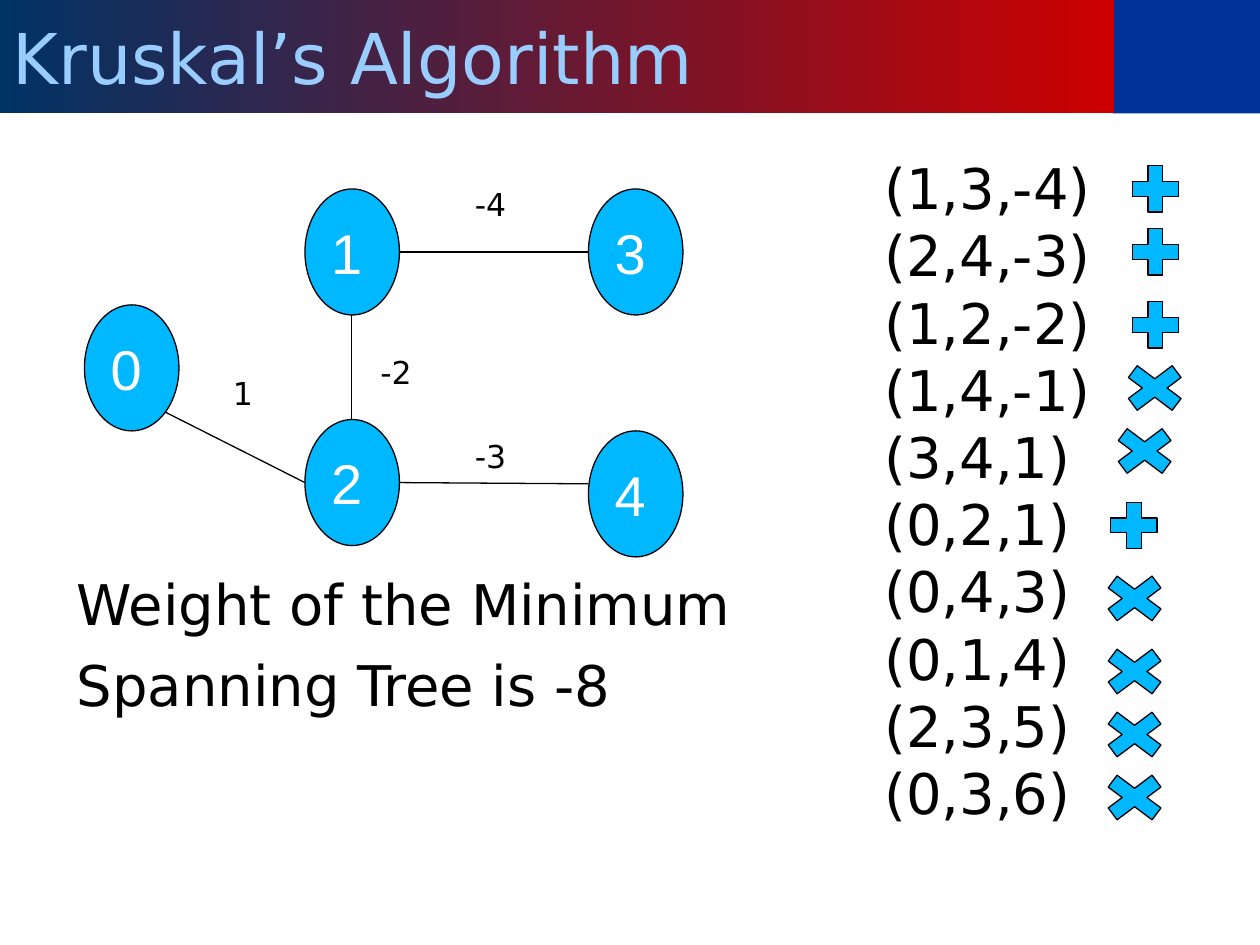
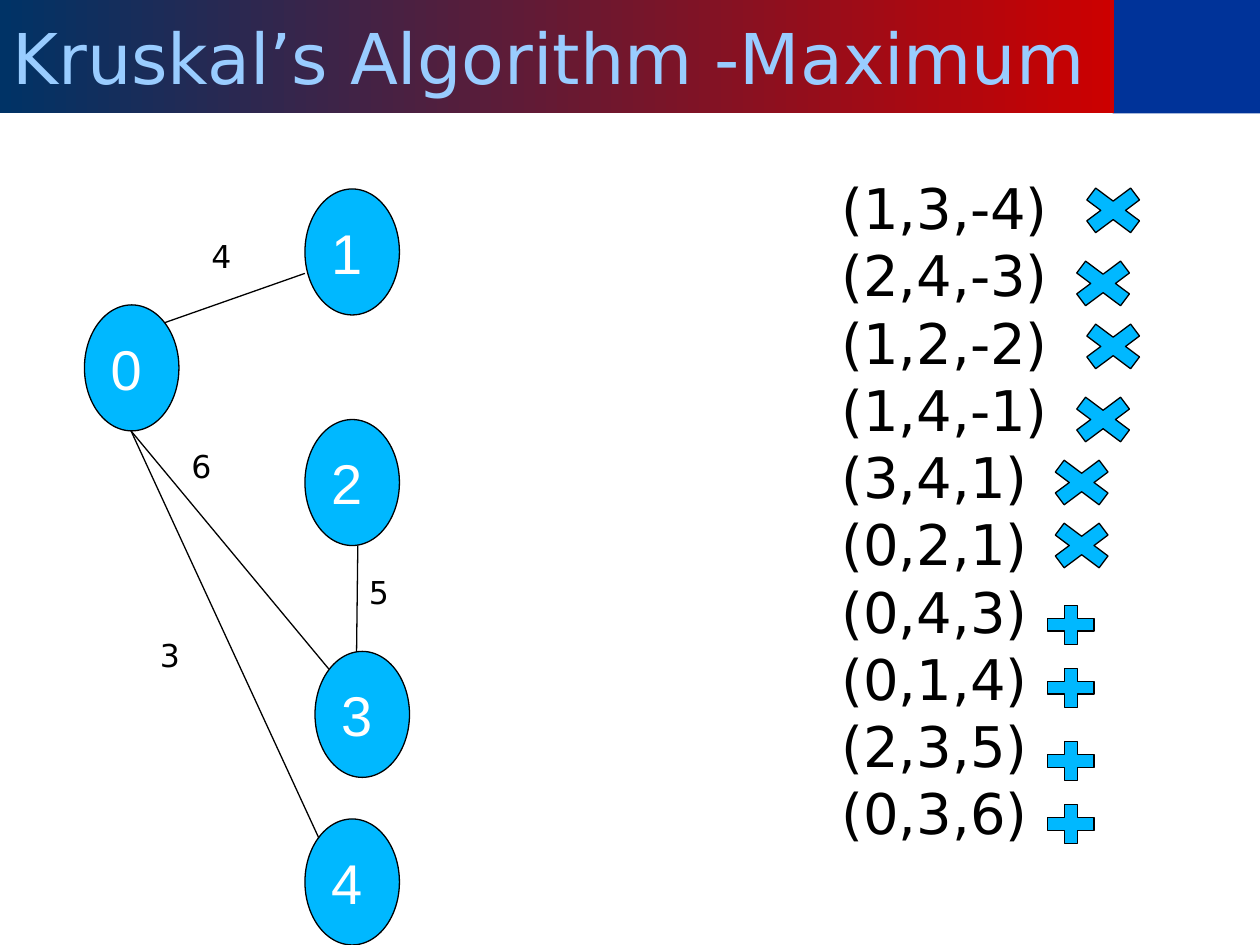
from dataclasses import dataclass

from lxml import etree
from pptx import Presentation
from pptx.dml.color import RGBColor
from pptx.enum.shapes import MSO_CONNECTOR, MSO_SHAPE
from pptx.enum.text import MSO_ANCHOR, MSO_AUTO_SIZE, PP_ALIGN
from pptx.oxml.ns import qn
from pptx.presentation import Presentation as Deck
from pptx.shapes.autoshape import Shape
from pptx.slide import Slide
from pptx.text.text import TextFrame
from pptx.util import Inches, Pt

STRAIGHT = MSO_CONNECTOR.STRAIGHT
RECTANGLE, OVAL = MSO_SHAPE.RECTANGLE, MSO_SHAPE.OVAL
PLUS, CROSS = MSO_SHAPE.MATH_PLUS, MSO_SHAPE.MATH_MULTIPLY
TOP, MIDDLE = MSO_ANCHOR.TOP, MSO_ANCHOR.MIDDLE
LEFT = PP_ALIGN.LEFT
NO_FIT, GROW = MSO_AUTO_SIZE.NONE, MSO_AUTO_SIZE.SHAPE_TO_FIT_TEXT
TITLE_AND_CONTENT, TITLE_ONLY = 1, 5
BAND_ID = 20


@dataclass(frozen=True)
class Theme:
    band: RGBColor = RGBColor(0x00, 0x33, 0x99)
    title_right: RGBColor = RGBColor(0xCC, 0x00, 0x00)
    title_left: RGBColor = RGBColor(0x00, 0x33, 0x66)
    title_text: RGBColor = RGBColor(0x99, 0xCC, 0xFF)
    node: RGBColor = RGBColor(0x00, 0xB8, 0xFF)
    ink: RGBColor = RGBColor(0x00, 0x00, 0x00)
    paper: RGBColor = RGBColor(0xFF, 0xFF, 0xFF)
    text_font: str = "DejaVu Sans"
    node_font: str = "Arial"
    title_size: float = 40
    body_size: float = 32
    label_size: float = 18
    line_width: float = 0.75


@dataclass(frozen=True)
class Node:
    name: str
    left: float
    top: float


@dataclass(frozen=True)
class Edge:
    start: tuple[float, float]
    end: tuple[float, float]
    weight: str
    label_at: tuple[float, float]


@dataclass(frozen=True)
class Mark:
    left: float
    top: float
    accepted: bool = False


@dataclass(frozen=True)
class TreePage:
    title: str
    layout: int
    nodes: list[Node]
    edges: list[Edge]
    list_at: tuple[float, float]
    marks: list[Mark]
    plus_height: float
    summary: tuple[str, ...] = ()


THEME = Theme()
SORTED_EDGES = ("(1,3,-4)", "(2,4,-3)", "(1,2,-2)", "(1,4,-1)", "(3,4,1)",
                "(0,2,1)", "(0,4,3)", "(0,1,4)", "(2,3,5)", "(0,3,6)")
SHARED_NODES = [Node("2", 2.42, 3.33), Node("1", 2.42, 1.5), Node("0", 0.67, 2.42)]

MINIMUM = TreePage(
    title="Kruskal’s Algorithm",
    layout=TITLE_AND_CONTENT,
    nodes=[Node("4", 4.67, 3.42), Node("3", 4.67, 1.5), *SHARED_NODES],
    edges=[
        Edge((3.17, 2), (4.67, 2), "-4", (3.67, 1.42)),
        Edge((3.17, 3.83), (4.67, 3.84), "-3", (3.67, 3.42)),
        Edge((2.79, 2.5), (2.79, 3.33), "-2", (2.92, 2.75)),
        Edge((1.31, 3.27), (2.42, 3.83), "1", (1.75, 2.92)),
    ],
    list_at=(6.92, 1.17),
    marks=[
        Mark(8.92, 1.25, True), Mark(8.92, 1.75, True), Mark(8.92, 2.33, True),
        Mark(8.83, 2.83), Mark(8.75, 3.33), Mark(8.75, 3.92, True),
        Mark(8.67, 4.5), Mark(8.67, 5.08), Mark(8.67, 5.58), Mark(8.67, 6.08),
    ],
    plus_height=0.5,
    summary=("Weight of the Minimum", "Spanning Tree is -8"),
)

MAXIMUM = TreePage(
    title="Kruskal’s Algorithm -Maximum",
    layout=TITLE_ONLY,
    nodes=[Node("4", 2.42, 6.5), Node("3", 2.5, 5.17), *SHARED_NODES],
    edges=[
        Edge((1.31, 2.56), (2.42, 2.17), "4", (1.58, 1.83)),
        Edge((2.84, 4.33), (2.83, 5.17), "5", (2.83, 4.5)),
        Edge((1.04, 3.42), (2.61, 5.31), "6", (1.42, 3.5)),
        Edge((1.04, 3.42), (2.53, 6.65), "3", (1.17, 5)),
    ],
    list_at=(6.58, 1.33),
    marks=[
        Mark(8.5, 1.42), Mark(8.42, 2), Mark(8.5, 2.5), Mark(8.42, 3.08),
        Mark(8.25, 3.58), Mark(8.25, 4.08), Mark(8.25, 4.75, True),
        Mark(8.25, 5.25, True), Mark(8.25, 5.83, True), Mark(8.25, 6.33, True),
    ],
    plus_height=0.42,
)


def place(shape: Shape, left: float, top: float, width: float, height: float) -> None:
    shape.left, shape.top = Inches(left), Inches(top)
    shape.width, shape.height = Inches(width), Inches(height)


def write(frame: TextFrame, lines: tuple[str, ...], size: float, color: RGBColor,
          font: str = THEME.text_font) -> None:
    for index, line in enumerate(lines):
        para = frame.add_paragraph() if index else frame.paragraphs[0]
        para.alignment = LEFT
        span = para.add_run()
        span.text = line
        span.font.name, span.font.size = font, Pt(size)
        span.font.color.rgb = color


def add_band(deck: Deck, page: Slide) -> None:
    band = page.shapes.add_shape(RECTANGLE, Inches(8.83), 0, Inches(1.17), Inches(0.9))
    band.shadow.inherit = False
    band.fill.solid()
    band.fill.fore_color.rgb = THEME.band
    band.line.fill.background()
    band.element.nvSpPr.cNvPr.set("id", str(BAND_ID))
    deck.slide_master.shapes.element.insert(2, band.element)


def set_title(page: Slide, text: str) -> None:
    title = page.shapes.title
    place(title, 0, 0, 8.84, 0.9)
    title.fill.gradient()
    title.fill.gradient_angle = 180
    for stop, color in zip(title.fill.gradient_stops,
                           (THEME.title_right, THEME.title_left)):
        stop.color.rgb = color
    frame = title.text_frame
    frame.auto_size, frame.vertical_anchor = NO_FIT, MIDDLE
    write(frame, (text,), THEME.title_size, THEME.title_text)


def set_summary(page: Slide, lines: tuple[str, ...]) -> None:
    body = page.placeholders[1]
    place(body, 0.5, 4.47, 6.2, 1.5)
    frame = body.text_frame
    frame.auto_size, frame.vertical_anchor = NO_FIT, TOP
    write(frame, lines, THEME.body_size, THEME.ink)
    for para in frame.paragraphs:
        para.space_before = Pt(8)
        properties = para._p.get_or_add_pPr()
        properties.set("marL", str(Inches(0.38)))
        properties.set("indent", str(Inches(-0.37)))
        etree.SubElement(properties, qn("a:buNone"))


def add_outlined(page: Slide, kind: MSO_SHAPE, left: float, top: float,
                 width: float, height: float) -> Shape:
    shape = page.shapes.add_shape(kind, Inches(left), Inches(top),
                                  Inches(width), Inches(height))
    shape.shadow.inherit = False
    shape.fill.solid()
    shape.fill.fore_color.rgb = THEME.node
    shape.line.color.rgb = THEME.ink
    shape.line.width = Pt(THEME.line_width)
    return shape


def add_node(page: Slide, node: Node) -> None:
    oval = add_outlined(page, OVAL, node.left, node.top, 0.75, 1)
    oval.text_frame.vertical_anchor = MIDDLE
    write(oval.text_frame, (node.name,), THEME.body_size, THEME.paper, THEME.node_font)


def add_text(page: Slide, at: tuple[float, float], width: float, height: float,
             lines: tuple[str, ...], size: float) -> None:
    box = page.shapes.add_textbox(Inches(at[0]), Inches(at[1]),
                                  Inches(width), Inches(height))
    box.text_frame.word_wrap = True
    box.text_frame.auto_size = GROW
    write(box.text_frame, lines, size, THEME.ink)


def add_edge(page: Slide, edge: Edge) -> None:
    line = page.shapes.add_connector(
        STRAIGHT, *(Inches(value) for value in edge.start + edge.end))
    line.line.color.rgb = THEME.ink
    line.line.width = Pt(THEME.line_width)
    etree.SubElement(line.element.spPr, qn("a:effectLst"))
    add_text(page, edge.label_at, 0.52, 0.4, (edge.weight,), THEME.label_size)


def add_mark(page: Slide, mark: Mark, plus_height: float) -> None:
    if mark.accepted:
        add_outlined(page, PLUS, mark.left, mark.top, 0.5, plus_height)
    else:
        add_outlined(page, CROSS, mark.left, mark.top, 0.67, 0.5)


def add_tree_page(deck: Deck, tree: TreePage) -> Slide:
    page = deck.slides.add_slide(deck.slide_layouts[tree.layout])
    set_title(page, tree.title)
    if tree.summary:
        set_summary(page, tree.summary)
    for node in tree.nodes:
        add_node(page, node)
    add_text(page, tree.list_at, 2.1, 5.49, SORTED_EDGES, THEME.body_size)
    for edge in tree.edges:
        add_edge(page, edge)
    for mark in tree.marks:
        add_mark(page, mark, tree.plus_height)
    return page


def main() -> None:
    deck = Presentation()
    deck.slide_width, deck.slide_height = Inches(10), Inches(7.5)
    pages = [add_tree_page(deck, tree) for tree in (MINIMUM, MAXIMUM)]
    add_band(deck, pages[0])
    deck.save("out.pptx")


main()
